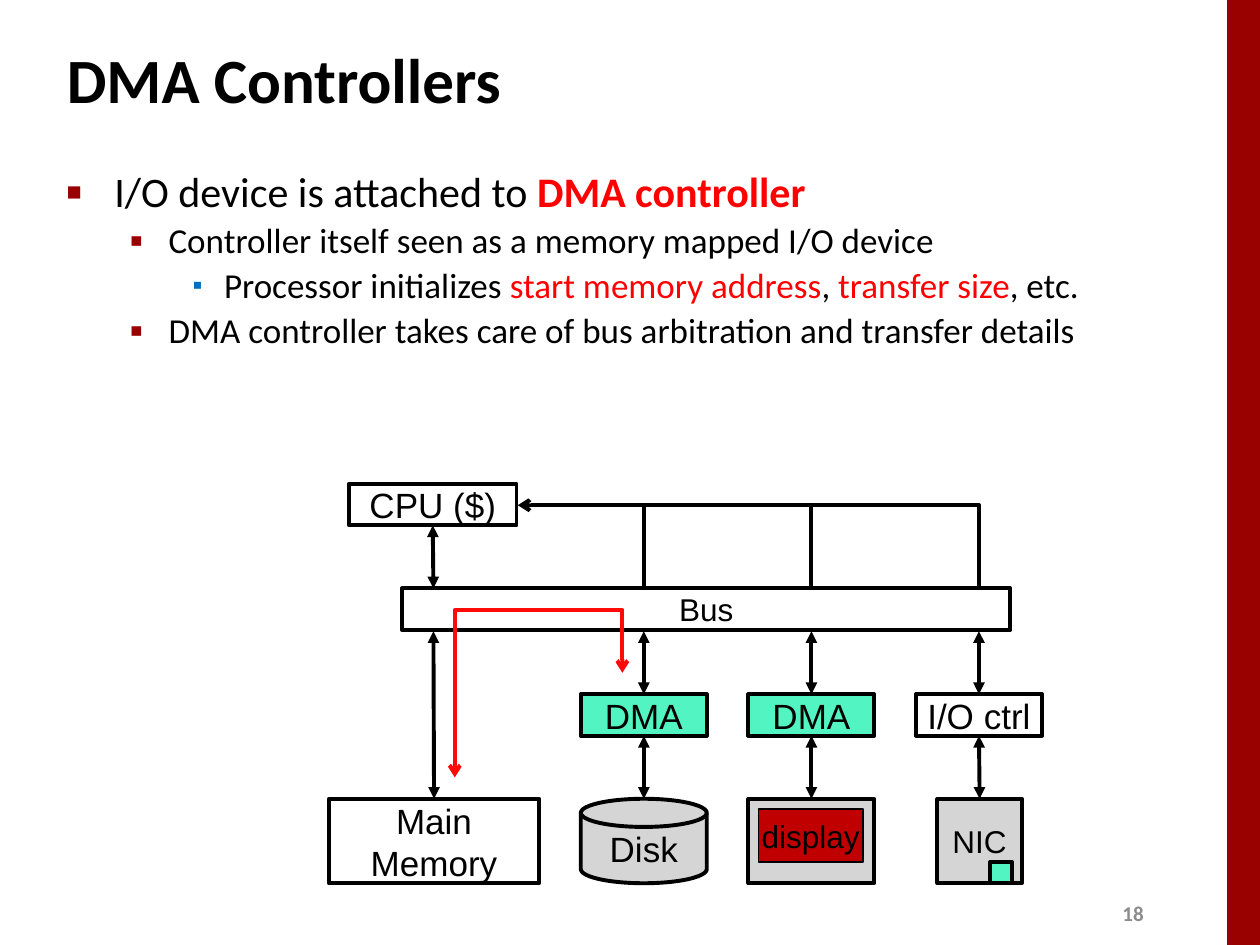
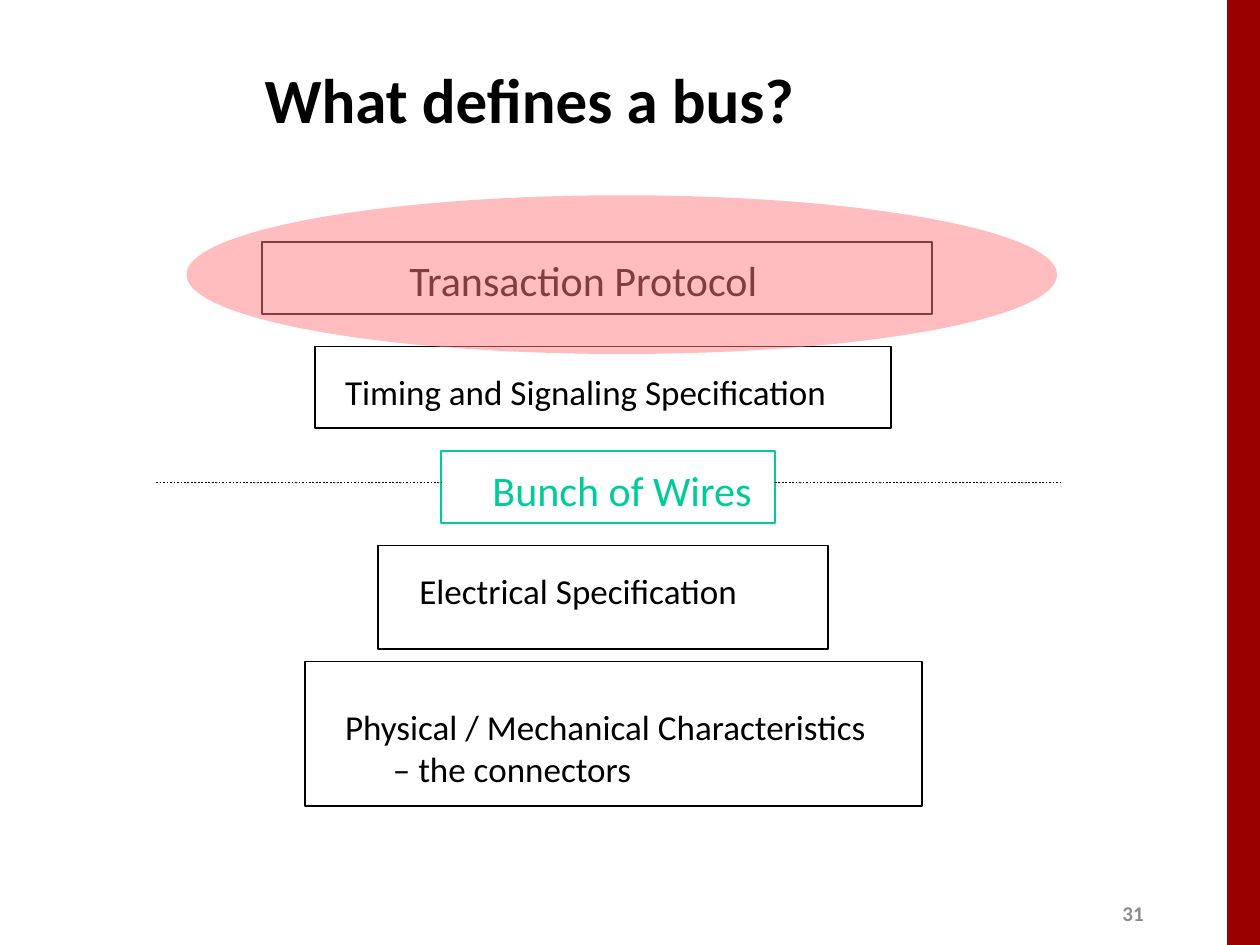
from lxml import etree
from pptx import Presentation
from pptx.dml.color import RGBColor
from pptx.enum.dml import MSO_LINE
from pptx.enum.shapes import MSO_CONNECTOR, MSO_SHAPE
from pptx.enum.text import MSO_ANCHOR, PP_ALIGN
from pptx.oxml.ns import qn
from pptx.util import Inches, Pt

RECT, DISK, OVAL = MSO_SHAPE.RECTANGLE, MSO_SHAPE.FLOWCHART_MAGNETIC_DISK, MSO_SHAPE.OVAL
STRAIGHT, DOTTED = MSO_CONNECTOR.STRAIGHT, MSO_LINE.ROUND_DOT
LEFT, CENTER = PP_ALIGN.LEFT, PP_ALIGN.CENTER
TOP, MIDDLE = MSO_ANCHOR.TOP, MSO_ANCHOR.MIDDLE
SIDE_TOP, SIDE_BOTTOM = 0, 2

BLACK, WHITE, GREY, NUMBER_GREY = "000000", "FFFFFF", "D5D5D5", "8C8C8C"
DARK_RED, RED, BLUE = "990000", "FF0000", "0070C0"
MINT, GREEN, SCREEN_RED, TRANSFER_RED, PINK = "52F4C2", "00CC99", "C00000", "FF0909", "FF7C80"
TITLE_FONT = BODY_FONT = "Calibri"
DIAGRAM_FONT = "Arial"
HEAVY = 2.25

# level: left margin, hanging indent, size, bullet, bullet colour, bullet size in %
LEVELS = [
    (0.38, 0.38, 24, "■", DARK_RED, 60),
    (0.81, 0.31, 20, "▪", DARK_RED, 110),
    (1.25, 0.25, 20, "▪", BLUE, 80),
]


def rgb(color):
    return RGBColor.from_string(color)


def box(at):
    return [Inches(v) for v in at]


def add_run(p, text, size, color=BLACK, bold=False, font=BODY_FONT):
    r = p.add_run()
    r.text = text
    r.font.name, r.font.size, r.font.bold = font, Pt(size), bold
    r.font.color.rgb = rgb(color)


def set_indent(p, margin, hanging=0):
    pPr = p._p.get_or_add_pPr()
    pPr.set("marL", str(Inches(margin)))
    pPr.set("indent", str(-Inches(hanging)))
    return pPr


def add_text(s, at, text, size, color=BLACK, bold=False, anchor=TOP):
    tf = s.shapes.add_textbox(*box(at)).text_frame
    tf.word_wrap, tf.vertical_anchor = True, anchor
    add_run(tf.paragraphs[0], text, size, color, bold)
    return tf


def add_bullet(p, level, runs):
    """runs: (text, colour, bold) triples."""
    margin, hanging, size, char, color, percent = LEVELS[level]
    p.line_spacing, p.space_before = 0.9, Pt(size * 0.2)
    pPr = set_indent(p, margin, hanging)
    clr = etree.SubElement(pPr, qn("a:buClr"))
    etree.SubElement(clr, qn("a:srgbClr"), val=color)
    etree.SubElement(pPr, qn("a:buSzPct"), val=str(percent * 1000))
    etree.SubElement(pPr, qn("a:buFont"), typeface=DIAGRAM_FONT)
    etree.SubElement(pPr, qn("a:buChar"), char=char)
    for text, run_color, bold in runs:
        add_run(p, text, size, run_color, bold)


def set_line(sp, color, width):
    sp.line.color.rgb = rgb(color)
    sp.line.width = Pt(width)


def add_heads(sp, head=None, tail=None):
    ln = sp.element.spPr.find(qn("a:ln"))
    for tag, kind in (("a:headEnd", head), ("a:tailEnd", tail)):
        if kind:
            etree.SubElement(ln, qn(tag), type=kind)


def add_block(s, at, fill=None, line=BLACK, width=HEAVY, text="", size=20, kind=RECT):
    sp = s.shapes.add_shape(kind, *box(at))
    sp.shadow.inherit = False
    if fill:
        sp.fill.solid()
        sp.fill.fore_color.rgb = rgb(fill)
    else:
        sp.fill.background()
    if line:
        set_line(sp, line, width)
    else:
        sp.line.fill.background()
    if text:
        tf = sp.text_frame
        tf.word_wrap, tf.vertical_anchor = False, MIDDLE
        for i, part in enumerate(text.split("\n")):
            p = tf.add_paragraph() if i else tf.paragraphs[0]
            p.alignment = CENTER
            add_run(p, part, size, font=DIAGRAM_FONT)
    return sp


def add_line(s, start, end, width, dash=None, heads=None, above=None, below=None):
    """Line that may hang from the block above it or end on the block below it."""
    c = s.shapes.add_connector(STRAIGHT, *box(start + end))
    set_line(c, BLACK, width)
    if dash:
        c.line.dash_style = dash
    add_heads(c, heads, heads)
    etree.SubElement(c.element.spPr, qn("a:effectLst"))
    if above:
        c.begin_connect(above, SIDE_BOTTOM)
    if below:
        c.end_connect(below, SIDE_TOP)


def add_path(s, points, color=BLACK, head=None, tail=None):
    first, *rest = [box(point) for point in points]
    builder = s.shapes.build_freeform(*first)
    builder.add_line_segments(rest, close=False)
    sp = builder.convert_to_shape()
    sp.shadow.inherit = False
    sp.fill.background()
    set_line(sp, color, HEAVY)
    add_heads(sp, head, tail)


def add_slide(prs, title, title_at, number):
    s = prs.slides.add_slide(prs.slide_layouts[5])
    add_block(s, (9.74, 0, 0.26, 7.5), DARK_RED, line=None)
    add_text(s, (8.81, 7.1, 0.4, 0.3), number, 12, NUMBER_GREY, True, MIDDLE)
    sp = s.shapes.title
    sp.left, sp.top, sp.width, sp.height = box(title_at)
    tf = sp.text_frame
    tf.vertical_anchor = MIDDLE
    p = tf.paragraphs[0]
    p.alignment = LEFT
    add_run(p, title, 36, bold=True, font=TITLE_FONT)
    return s


def add_dma_bullets(s):
    tf = s.shapes.add_textbox(*box((0.43, 1.31, 8.64, 1.7))).text_frame
    tf.word_wrap = True
    bullets = [
        (0, [("I/O device is attached to ", BLACK, False), ("DMA controller", RED, True)]),
        (1, [("Controller itself seen as a memory mapped I/O device", BLACK, False)]),
        (2, [("Processor initializes ", BLACK, False), ("start memory address", RED, False),
             (", ", BLACK, False), ("transfer size", RED, False), (", etc.", BLACK, False)]),
        (1, [("DMA controller takes care of bus arbitration and transfer details",
              BLACK, False)]),
    ]
    for i, (level, runs) in enumerate(bullets):
        add_bullet(tf.add_paragraph() if i else tf.paragraphs[0], level, runs)


def add_bus_diagram(s):
    cpu_x, cpu_right, interrupt_y = 3.44, 4.11, 4.01
    bus_top, bus_bottom, ctrl_top, device_top = 4.67, 5.01, 5.51, 6.34
    columns = [5.11 + 1.33 * i for i in range(3)]
    disk_x, display_x, nic_x = columns

    cpu = add_block(s, (2.77, 3.84, 1.33, 0.33), WHITE, text="CPU ($)")
    memory = add_block(s, (2.61, device_top, 1.67, 0.67), WHITE, text="Main\nMemory")
    add_block(s, (3.19, bus_top, 4.83, 0.33), WHITE, text="Bus", size=18)
    add_block(s, (disk_x - 0.5, device_top, 1, 0.67), GREY, text="Disk", kind=DISK)
    display = add_block(s, (display_x - 0.5, device_top, 1, 0.67), GREY)
    add_block(s, (display_x - 0.42, 6.42, 0.83, 0.42), SCREEN_RED, width=1,
              text="display", size=18)
    nic = add_block(s, (nic_x - 0.33, device_top, 0.67, 0.67), GREY, text="NIC", size=18)
    add_block(s, (nic_x + 0.09, 6.84, 0.17, 0.17), MINT)

    both = {"width": HEAVY, "heads": "triangle"}
    add_line(s, (cpu_x, 4.17), (cpu_x, bus_top), above=cpu, **both)
    add_line(s, (cpu_x, bus_bottom), (cpu_x, device_top), below=memory, **both)

    # The disk's connection sites differ from a rectangle's, so its arrow stays free.
    controllers = [("DMA", MINT, None), ("DMA", MINT, display), ("I/O ctrl", WHITE, nic)]
    wire_start = cpu_right
    for x, (name, fill, device) in zip(columns, controllers):
        ctrl = add_block(s, (x - 0.5, ctrl_top, 1, 0.33), fill, text=name)
        add_line(s, (x, bus_bottom), (x, ctrl_top), below=ctrl, **both)
        add_line(s, (x, 5.84), (x, device_top), above=ctrl, below=device, **both)
        add_path(s, [(wire_start, interrupt_y), (x, interrupt_y), (x, bus_top)],
                 head="arrow" if x == disk_x else None)
        wire_start = x

    add_path(s, [(4.94, 5.34), (4.94, 4.84), (3.61, 4.84), (3.61, 6.17)],
             TRANSFER_RED, "arrow", "arrow")


def add_bus_layers(s):
    # frame, text place, text, size, colour
    layers = [
        ((2.08, 1.92, 5.32, 0.57), (3.15, 1.97, 3.44, 0.5), "Transaction Protocol", 24, BLACK),
        ((2.5, 2.75, 4.57, 0.65), (2.64, 2.89, 4.06, 0.43),
         "Timing and Signaling Specification", 20, BLACK),
        ((3.5, 3.58, 2.65, 0.57), (3.81, 3.64, 2.28, 0.5), "Bunch of Wires", 24, GREEN),
        ((3, 4.33, 3.57, 0.82), (3.23, 4.47, 2.75, 0.43), "Electrical Specification", 20, BLACK),
        ((2.42, 5.25, 4.9, 1.15), (2.64, 5.55, 4.38, 0.77),
         "Physical / Mechanical Characteristics", 20, BLACK),
    ]
    for frame_at, text_at, text, size, color in layers:
        add_block(s, frame_at, line=color, width=1)
        tf = add_text(s, text_at, text, size, color)
    p = tf.add_paragraph()
    set_indent(p, 0.38)
    add_run(p, "– the connectors", 20)

    for start, end in ((1.24, 3.5), (6.15, 8.42)):
        add_line(s, (start, 3.83), (end, 3.83), 1, DOTTED)

    highlight = add_block(s, (1.48, 1.55, 6.91, 1.26), PINK, line=None, kind=OVAL)
    clr = highlight.element.spPr.find(qn("a:solidFill")).find(qn("a:srgbClr"))
    etree.SubElement(clr, qn("a:alpha"), val="50000")


def main():
    prs = Presentation()
    prs.slide_width, prs.slide_height = Inches(10), Inches(7.5)

    s = add_slide(prs, "DMA Controllers", (0.43, 0.21, 8.3, 0.83), "18")
    add_dma_bullets(s)
    add_bus_diagram(s)

    s = add_slide(prs, "What defines a bus?", (2, 0.58, 6.13, 0.4), "31")
    add_bus_layers(s)

    prs.save("out.pptx")


if __name__ == "__main__":
    main()
